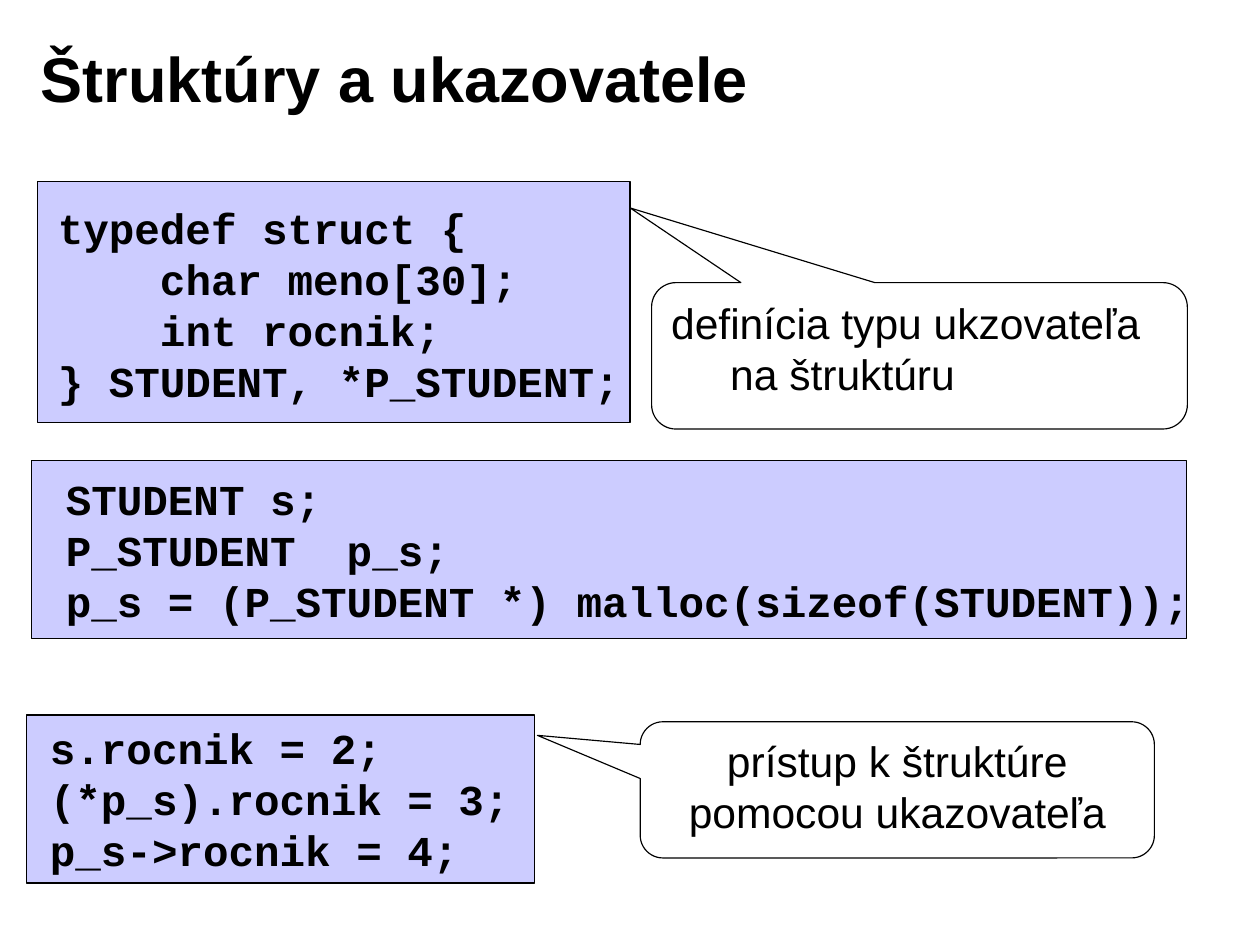
from pptx import Presentation, util as u
from pptx.dml.color import RGBColor
from pptx.enum import shapes, text

BLACK = RGBColor(0, 0, 0)
WHITE = RGBColor(255, 255, 255)
LILAC = RGBColor(0xCC, 0xCC, 0xFF)
CELL = u.Inches(0.1)  # the slide is a grid of 111 columns by 83 rows
SHAPE = shapes.MSO_SHAPE
ALIGN = text.PP_ALIGN

deck = Presentation()
deck.slide_width, deck.slide_height = 111 * CELL, 83 * CELL
slide = deck.slides.add_slide(deck.slide_layouts[6])


def cells(*area):
    return [round(n * CELL) for n in area]


def write(shape, lines, font, size, bold, align=ALIGN.LEFT,
          anchor=text.MSO_ANCHOR.TOP):
    """Fill a shape with (indent in columns, wording) lines."""
    frame = shape.text_frame
    frame.word_wrap, frame.vertical_anchor = True, anchor
    frame.margin_left = frame.margin_right = u.Inches(0.11)
    frame.margin_top = frame.margin_bottom = u.Inches(0.06)
    for i, (indent, words) in enumerate(lines):
        para = frame.add_paragraph() if i else frame.paragraphs[0]
        para.alignment = align
        para.line_spacing = u.Pt(size * 1.2)
        if indent:
            para._p.get_or_add_pPr().set("marL", str(round(indent * CELL)))
        run = para.add_run()
        run.text = words
        run.font.name, run.font.size = font, u.Pt(size)
        run.font.bold, run.font.color.rgb = bold, BLACK


title = slide.shapes.add_textbox(*cells(2.5, 1.7, 89.2, 10.2))
write(title, [(0, "Štruktúry a ukazovatele")], "Arial", 40, True,
      anchor=text.MSO_ANCHOR.MIDDLE)

# panel area, code area (a column wider than its longest line), code lines
codes = [
    ((3.3, 16, 52.2, 21.2), (4, 17.2, 52.7, 19.1),
     [(0, "typedef struct {"), (9, "char meno[30];"),
      (9, "int rocnik;"), (0, "} STUDENT, *P_STUDENT;")]),
    ((2.8, 40.6, 101.7, 15.7), (4.7, 41.1, 102.2, 14.6),
     [(0, "STUDENT s;"), (0, "P_STUDENT  p_s;"),
      (0, "p_s = (P_STUDENT *) malloc(sizeof(STUDENT));")]),
    ((2.3, 63, 44.8, 14.8), (3.3, 63, 43.7, 14.6),
     [(0, "s.rocnik = 2;"), (0, "(*p_s).rocnik = 3;"),
      (0, "p_s->rocnik = 4;")]),
]
# area, tip of the tail, alignment, lines
notes = [
    ((57.4, 24.9, 47.2, 12.9), (-0.54, -1.01), ALIGN.LEFT,
     [(0, "definícia typu ukzovateľa"), (5.2, "na štruktúru")]),
    ((56.4, 63.6, 45.3, 12), (-0.7, -0.4), ALIGN.CENTER,
     [(0, "prístup k štruktúre pomocou ukazovateľa")]),
]

panels = [(SHAPE.RECTANGLE, area, LILAC) for area, _, _ in codes]
clouds = [(SHAPE.ROUNDED_RECTANGULAR_CALLOUT, note[0], WHITE) for note in notes]
drawn = []
for kind, area, fill in panels + clouds:
    shape = slide.shapes.add_shape(kind, *cells(*area))
    shape.shadow.inherit = False
    shape.fill.solid()
    shape.fill.fore_color.rgb = fill
    shape.line.color.rgb, shape.line.width = BLACK, u.Pt(0.75)
    drawn.append(shape)

for _, area, lines in codes:
    box = slide.shapes.add_textbox(*cells(*area))
    write(box, lines, "Courier New", 27, True)

for shape, (_, tip, align, lines) in zip(drawn[len(codes):], notes):
    shape.adjustments[0], shape.adjustments[1] = tip
    write(shape, lines, "Arial", 27, False, align)

deck.save("out.pptx")
